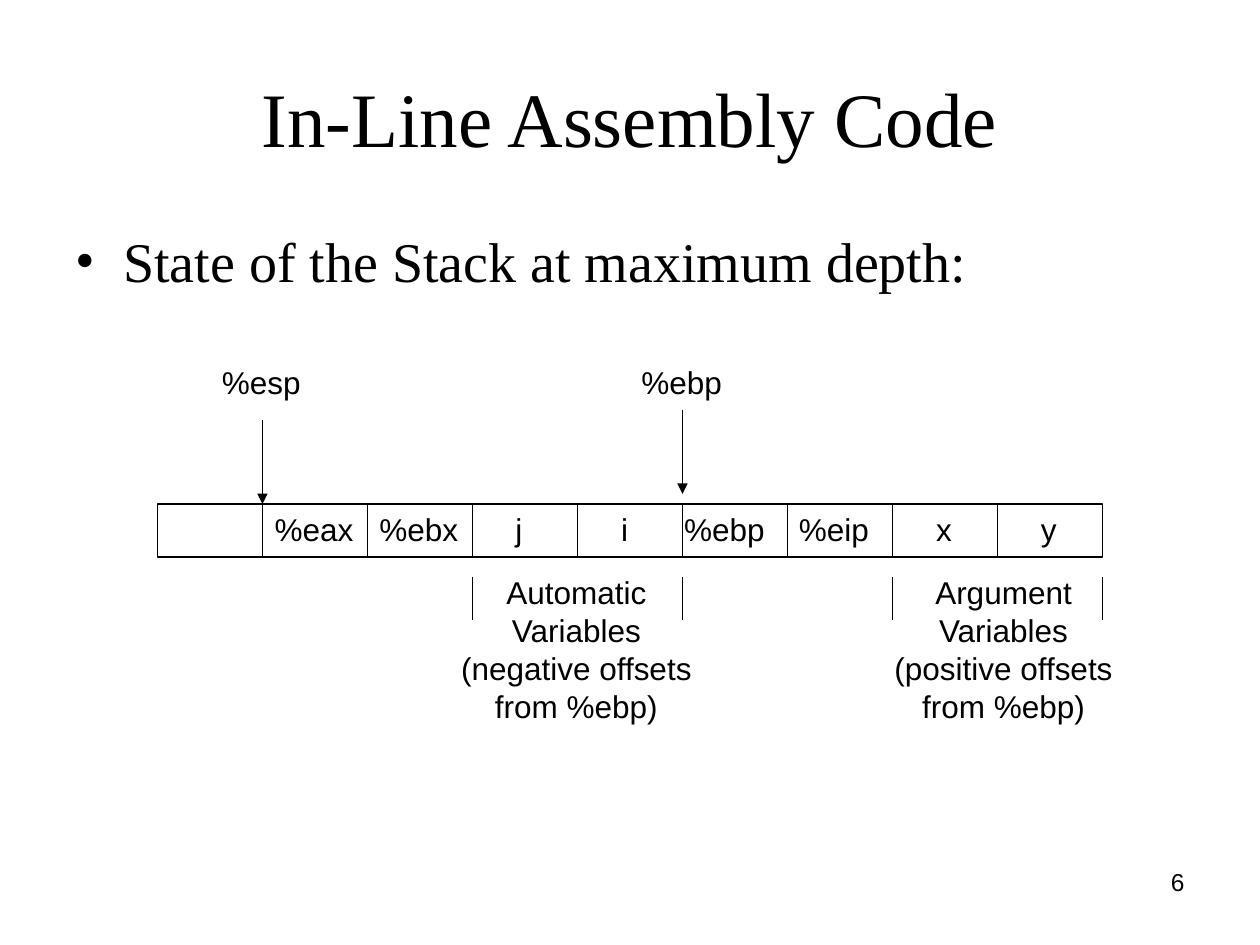
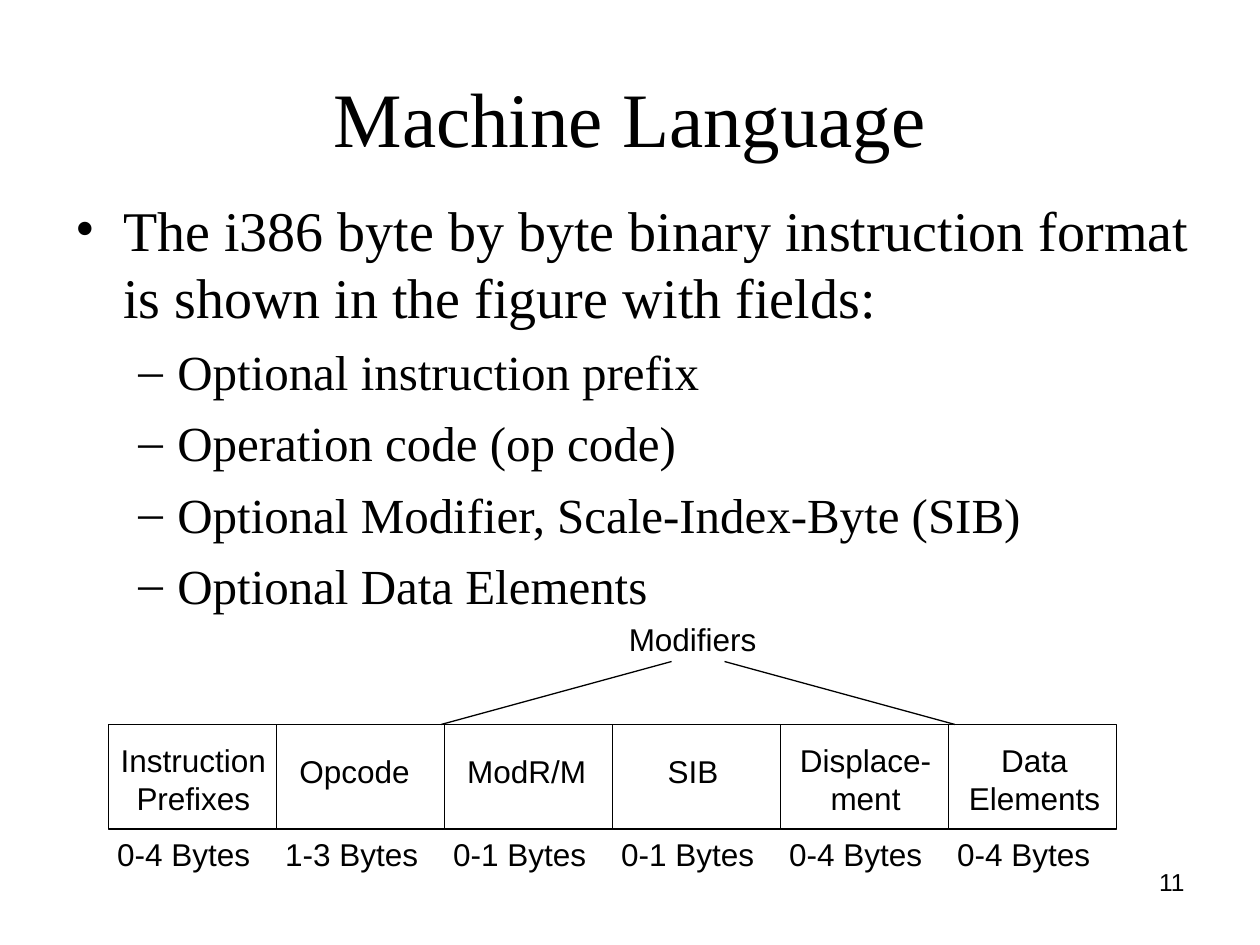
from lxml import etree
from pptx import Presentation
from pptx.dml.color import RGBColor
from pptx.enum.shapes import MSO_CONNECTOR, MSO_SHAPE
from pptx.enum.text import MSO_ANCHOR, MSO_AUTO_SIZE, PP_ALIGN
from pptx.oxml.ns import qn
from pptx.util import Inches, Pt

LEFT, CENTER, RIGHT = PP_ALIGN.LEFT, PP_ALIGN.CENTER, PP_ALIGN.RIGHT
TOP, MIDDLE = MSO_ANCHOR.TOP, MSO_ANCHOR.MIDDLE
RECTANGLE, STRAIGHT = MSO_SHAPE.RECTANGLE, MSO_CONNECTOR.STRAIGHT
FIT_TEXT = MSO_AUTO_SIZE.SHAPE_TO_FIT_TEXT

COLORS = {"ink": "000000", "paper": "FFFFFF"}
INK = RGBColor.from_string(COLORS["ink"])
SERIF, SANS = "Times New Roman", "Arial"
LINE_WIDTH = Pt(0.75)

# Outline levels: bullet, text indent, hanging indent, size, space before
LEVELS = [("•", 0.38, 0.38, 32, 8), ("–", 0.81, 0.31, 28, 7)]


def add_text(slide, box, lines, size=18, font=SANS, align=LEFT, anchor=TOP, wrap=False):
    """Text box with one paragraph per line; unwrapped boxes fit their text."""
    frame = slide.shapes.add_textbox(*[Inches(v) for v in box]).text_frame
    frame.word_wrap = wrap
    if not wrap:
        # Slightly narrower side margins keep each label on one line
        frame.auto_size = FIT_TEXT
        frame.margin_left = frame.margin_right = Inches(0.09)
    frame.vertical_anchor = anchor
    for i, line in enumerate(lines):
        paragraph = frame.paragraphs[0] if i == 0 else frame.add_paragraph()
        paragraph.alignment = align
        run = paragraph.add_run()
        run.text = line
        run.font.name, run.font.size = font, Pt(size)
        run.font.color.rgb = INK
    return frame


def add_line(slide, start, end, arrow=False):
    line = slide.shapes.add_connector(STRAIGHT, *[Inches(v) for v in (*start, *end)])
    line.line.color.rgb = INK
    line.line.width = LINE_WIDTH
    if arrow:
        etree.SubElement(line.line._get_or_add_ln(), qn("a:tailEnd"), type="triangle")
    etree.SubElement(line._element.spPr, qn("a:effectLst"))


# Title, page number, body box, outline (level, text), and the row of cells
STACK_TOP, STACK_LEFT, STACK_CELL = 4, 1.25, 5 / 6
FIELD_TOP, FIELD_LEFT, FIELD_CELL = 5.75, 0.86, 4 / 3
pages = [
    ("In-Line Assembly Code", "6", (0.5, 1.75, 9, 4.95),
     [(0, "State of the Stack at maximum depth:")],
     (STACK_LEFT, STACK_TOP, STACK_CELL, 0.42, 9)),
    ("Machine Language", "11", (0.5, 1.5, 9.17, 4.95),
     [(0, "The i386 byte by byte binary instruction format is shown in the figure with fields:"),
      (1, "Optional instruction prefix"),
      (1, "Operation code (op code)"),
      (1, "Optional Modifier, Scale-Index-Byte (SIB)"),
      (1, "Optional Data Elements")],
     (FIELD_LEFT, FIELD_TOP, FIELD_CELL, 0.83, 6)),
]

prs = Presentation()
prs.slide_width, prs.slide_height = Inches(10), Inches(7.5)

# Parts shared by both slides
slides = []
for title, number, body_box, outline, (left, top, width, height, count) in pages:
    slide = prs.slides.add_slide(prs.slide_layouts[6])
    slide.background.fill.solid()
    slide.background.fill.fore_color.rgb = RGBColor.from_string(COLORS["paper"])
    add_text(slide, (7.17, 6.83, 2.33, 0.52), [number], 14, align=RIGHT, wrap=True)
    add_text(slide, (0.5, 0.3, 9, 1.25), [title], 44, SERIF, CENTER, MIDDLE, True)

    # Bulleted outline
    body = add_text(slide, body_box, [text for _, text in outline], 32, SERIF, wrap=True)
    for i, (level, _) in enumerate(outline):
        bullet, indent, hanging, size, space = LEVELS[level]
        paragraph = body.paragraphs[i]
        paragraph.level = level
        if i:
            paragraph.space_before = Pt(space)
        properties = paragraph._p.get_or_add_pPr()
        properties.set("marL", str(Inches(indent)))
        properties.set("indent", str(-Inches(hanging)))
        etree.SubElement(properties, qn("a:buFont"), typeface=SERIF)
        etree.SubElement(properties, qn("a:buChar"), char=bullet)
        paragraph.font.size = paragraph.runs[0].font.size = Pt(size)

    # Row of cells
    for i in range(count):
        cell = slide.shapes.add_shape(RECTANGLE, Inches(left + i * width), Inches(top),
                                      Inches(width), Inches(height))
        cell.shadow.inherit = False
        cell.fill.background()
        cell.line.color.rgb = INK
        cell.line.width = LINE_WIDTH
    slides.append(slide)

stack, instruction = slides

# Stack contents: label, left, width
for label, left, width in [
    ("%eax", 2.09, 0.82), ("%ebx", 2.92, 0.82), ("j", 4, 0.25), ("i", 4.84, 0.25),
    ("%ebp", 5.34, 0.84), ("%eip", 6.25, 0.75), ("x", 7.34, 0.32), ("y", 8.17, 0.32),
]:
    add_text(stack, (left, STACK_TOP, width, 0.4), [label])

# Register pointers: register, label left and width, cell edge, arrow start
for register, left, width, edge, start in [
    ("%esp", 1.67, 0.82, 1, 3.33), ("%ebp", 5, 0.84, 5, 3.25),
]:
    x = STACK_LEFT + edge * STACK_CELL
    add_text(stack, (left, 2.83, width, 0.4), [register])
    add_line(stack, (x, start), (x, start + 0.67), arrow=True)

# Variable groups: kind, sign of offsets, left, width, bounding cell edges
for kind, sign, left, width, edges in [
    ("Automatic", "negative", 3.56, 2.03, (3, 5)),
    ("Argument", "positive", 7, 1.93, (7, 9)),
]:
    add_text(stack, (left, 4.5, width, 1.3),
             [kind, "Variables", f"({sign} offsets", "from %ebp)"], align=CENTER)
    for edge in edges:
        x = STACK_LEFT + edge * STACK_CELL
        add_line(stack, (x, 4.58), (x, 4.92))

# Instruction fields: name lines, left, width, byte count
fields = [
    (["Instruction", "Prefixes"], 0.86, 1.35, "0-4"),
    (["Opcode"], 2.28, 1.07, "1-3"),
    (["ModR/M"], 3.61, 1.14, "0-1"),
    (["SIB"], 5.2, 0.6, "0-1"),
    (["Displace-", "ment"], 6.25, 1.24, "0-4"),
    (["Data", "Elements"], 7.59, 1.24, "0-4"),
]
for i, (name, left, width, size) in enumerate(fields):
    top, height = (5.92, 0.4) if len(name) == 1 else (5.83, 0.7)
    add_text(instruction, (left, top, width, height), name, align=CENTER)
    add_text(instruction, (0.84 + i * FIELD_CELL, 6.58, 1.25, 0.4), [f"{size} Bytes"])

# Modifiers span
add_text(instruction, (4.9, 4.87, 1.21, 0.4), ["Modifiers"])
add_line(instruction, (3.5, FIELD_TOP), (5.33, 5.25))
add_line(instruction, (7.58, FIELD_TOP), (5.75, 5.25))

prs.save("out.pptx")
